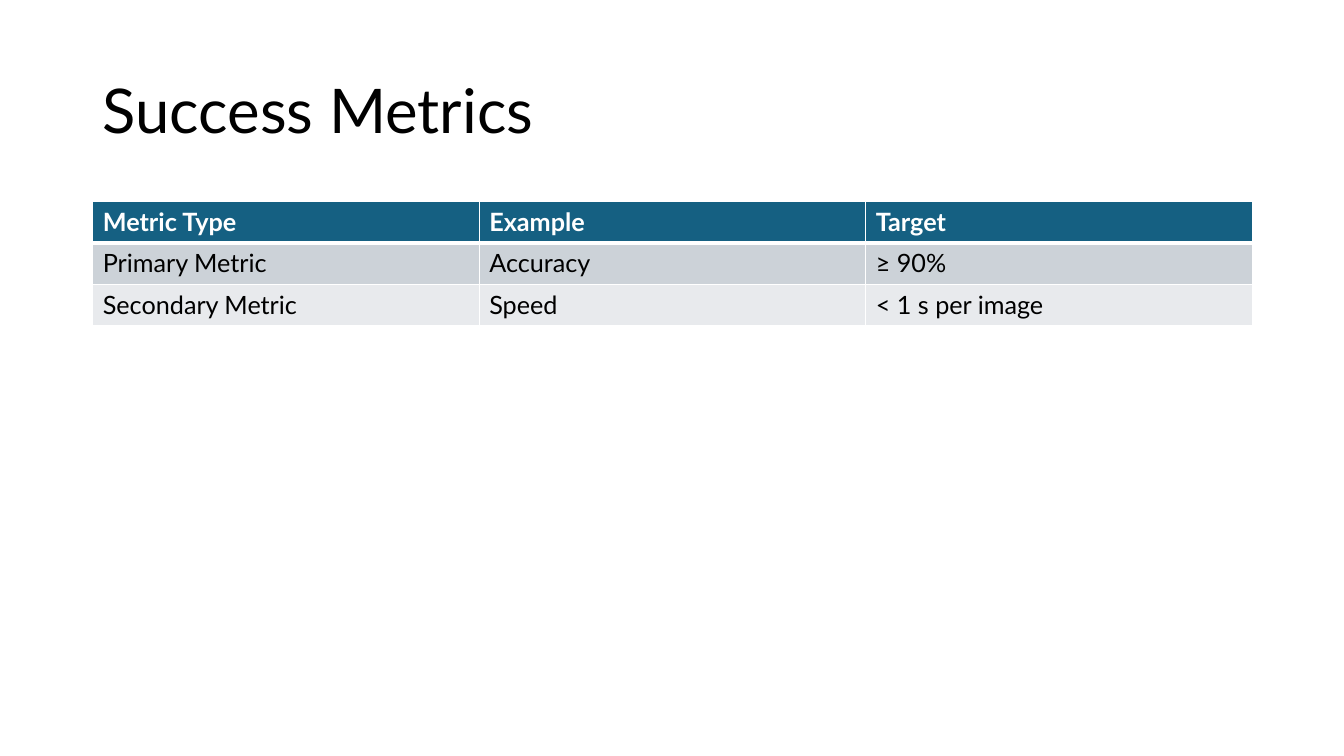
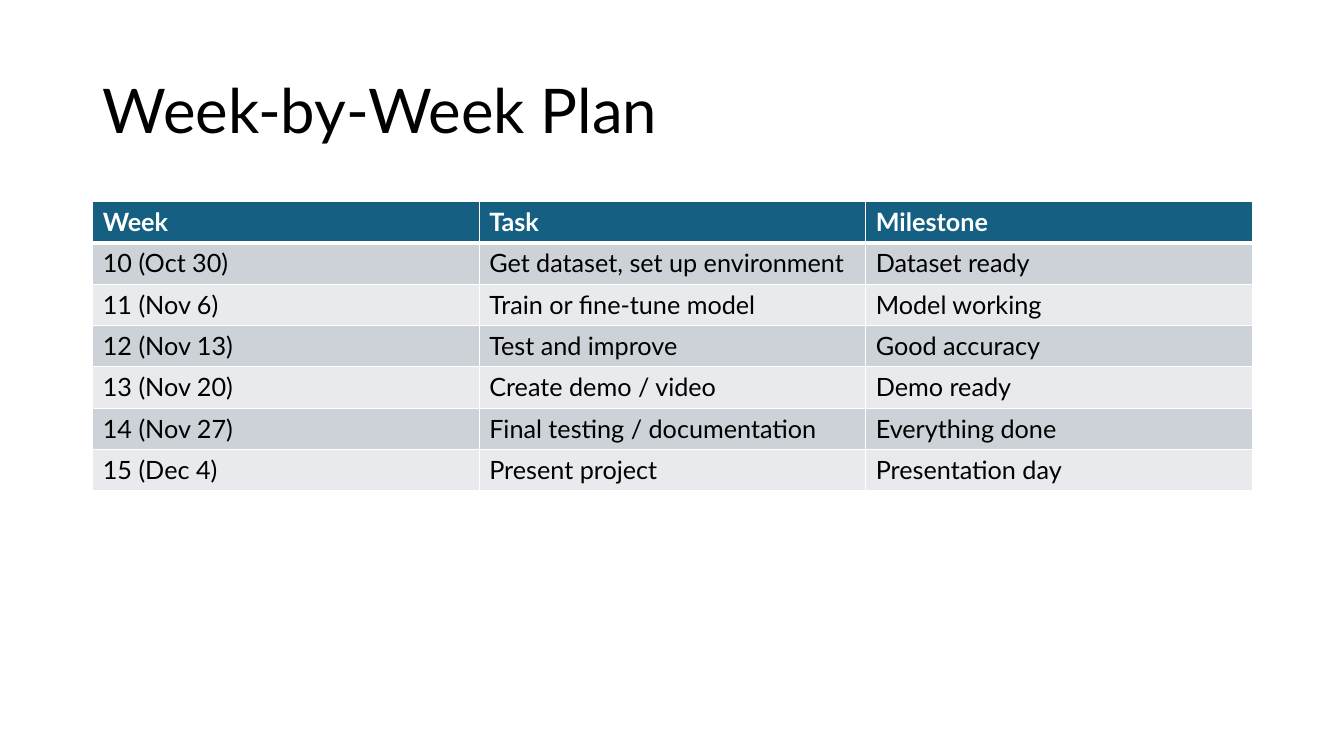
from lxml import etree
from pptx import Presentation
from pptx import util as u
from pptx.dml.color import RGBColor
from pptx.enum import text
from pptx.oxml.ns import qn

WHITE = RGBColor(0xFF, 0xFF, 0xFF)
BLACK = RGBColor(0x00, 0x00, 0x00)
HEADER = RGBColor(0x15, 0x60, 0x82)
BANDS = (RGBColor(0xCC, 0xD2, 0xD8), RGBColor(0xE8, 0xEA, 0xED))
FONT = "Lato"

WIDTH, HEIGHT = u.Inches(13.33), u.Inches(7.5)
LEFT, CONTENT_W = u.Inches(0.92), u.Inches(11.5)
TITLE_BOX = (LEFT, u.Inches(0.4), CONTENT_W, u.Inches(1.45))
TABLE_TOP = u.Inches(2)
ROW_H = u.Inches(0.41)
THIN, THICK = u.Pt(1), u.Pt(3)

SLIDES = [
    ("Success Metrics", [
        ("Metric Type", "Example", "Target"),
        ("Primary Metric", "Accuracy", "≥ 90%"),
        ("Secondary Metric", "Speed", "< 1 s per image"),
    ]),
    ("Week-by-Week Plan", [
        ("Week", "Task", "Milestone"),
        ("10 (Oct 30)", "Get dataset, set up environment", "Dataset ready"),
        ("11 (Nov 6)", "Train or fine-tune model", "Model working"),
        ("12 (Nov 13)", "Test and improve", "Good accuracy"),
        ("13 (Nov 20)", "Create demo / video", "Demo ready"),
        ("14 (Nov 27)", "Final testing / documentation", "Everything done"),
        ("15 (Dec 4)", "Present project", "Presentation day"),
    ]),
]


def style_font(p, size, color, bold=False):
    """Set the shared typeface with a size, colour and weight."""
    p.font.name = FONT
    p.font.size = u.Pt(size)
    p.font.color.rgb = color
    p.font.bold = bold


def add_title(slide, box, title):
    """Place the slide title, centred vertically in its box."""
    tf = slide.shapes.add_textbox(*box).text_frame
    tf.word_wrap = True
    tf.vertical_anchor = text.MSO_ANCHOR.MIDDLE
    p = tf.paragraphs[0]
    p.text = title
    p.line_spacing = 0.9
    style_font(p, 44, BLACK)


def set_borders(cell, top, bottom):
    """Draw white cell borders, with given top and bottom widths."""
    tc_pr = cell._tc.get_or_add_tcPr()
    for side, width in (("L", THIN), ("R", THIN), ("T", top), ("B", bottom)):
        ln = etree.SubElement(tc_pr, qn(f"a:ln{side}"), w=str(int(width)))
        fill = etree.SubElement(ln, qn("a:solidFill"))
        etree.SubElement(fill, qn("a:srgbClr"), val=str(WHITE))


def style_cell(cell, row):
    """Style a cell as header or banded body according to its row."""
    header = row == 0
    set_borders(cell, THICK if row == 1 else THIN, THICK if header else THIN)
    cell.fill.solid()
    cell.fill.fore_color.rgb = HEADER if header else BANDS[(row - 1) % 2]
    style_font(cell.text_frame.paragraphs[0], 18,
               WHITE if header else BLACK, header)


def add_grid(slide, left, top, width, rows):
    """Place a table of equal columns and rows in the given width."""
    cols = len(rows[0])
    table = slide.shapes.add_table(
        len(rows), cols, left, top, width, ROW_H * len(rows)).table
    for column in table.columns:
        column.width = width // cols
    for i, values in enumerate(rows):
        table.rows[i].height = ROW_H
        for cell, value in zip(table.rows[i].cells, values):
            cell.text = value
            style_cell(cell, i)


def add_table_slide(prs, title, rows):
    """Add a slide with a title above a full-width table."""
    slide = prs.slides.add_slide(prs.slide_layouts[6])
    add_title(slide, TITLE_BOX, title)
    add_grid(slide, LEFT, TABLE_TOP, CONTENT_W, rows)


def main():
    """Build and save the presentation."""
    prs = Presentation()
    prs.slide_width, prs.slide_height = WIDTH, HEIGHT
    for title, rows in SLIDES:
        add_table_slide(prs, title, rows)
    prs.save("out.pptx")


if __name__ == "__main__":
    main()
